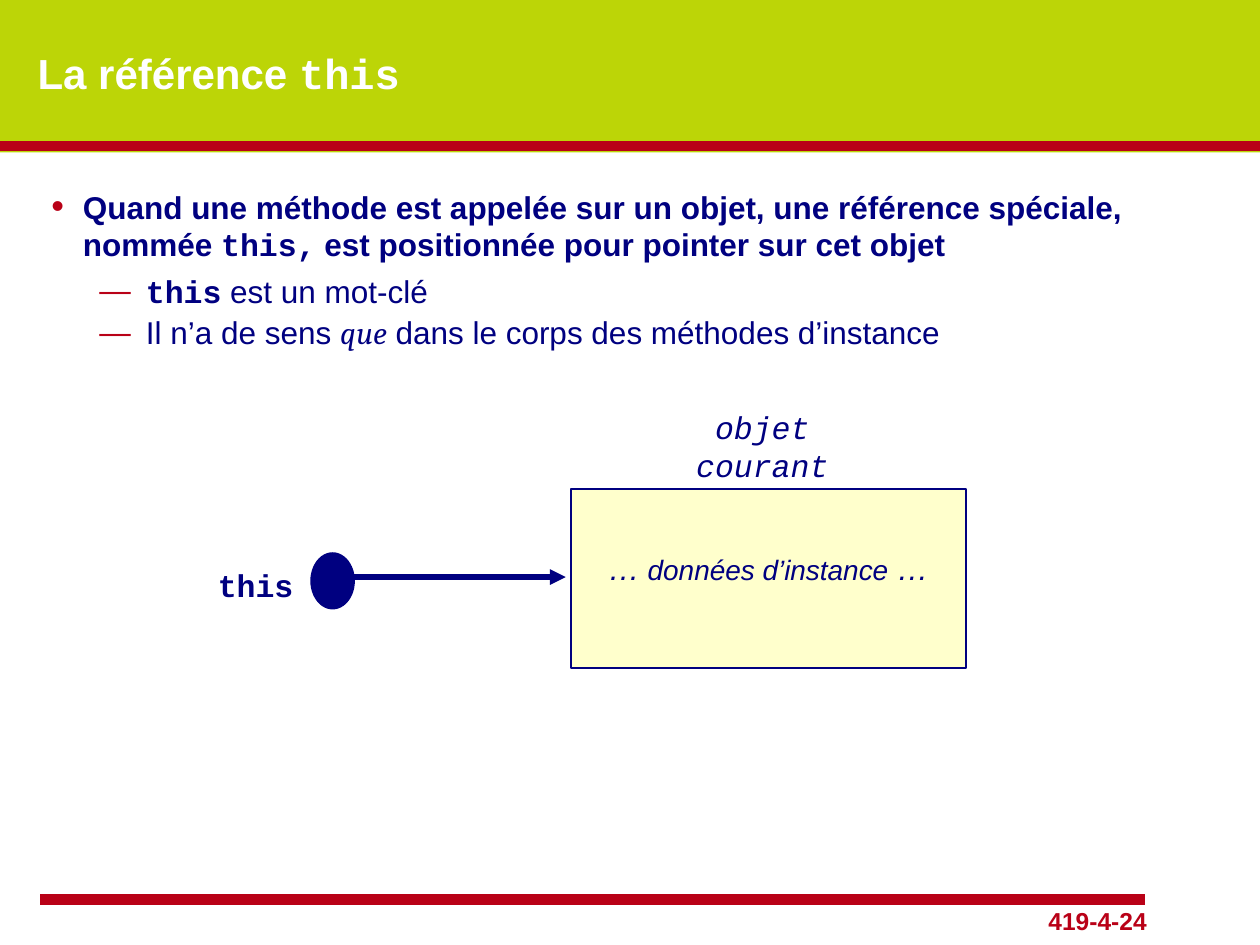
from dataclasses import dataclass

from lxml import etree
from pptx import Presentation
from pptx import util as u
from pptx.dml.color import RGBColor
from pptx.enum import shapes, text
from pptx.oxml import ns

LIME = RGBColor(0xBC, 0xD5, 0x07)
RED = RGBColor(0xB9, 0x01, 0x17)
NAVY = RGBColor(0x00, 0x00, 0x80)
CREAM = RGBColor(0xFF, 0xFF, 0xCC)
WHITE = RGBColor(0xFF, 0xFF, 0xFF)

SANS, MONO, SERIF = "Arial", "Courier New", "Cambria"
COLUMNS, ROWS = 100, 75
CELL = u.Inches(10) // COLUMNS


@dataclass
class Box:
    """A region measured in grid columns and rows."""
    left: float
    top: float
    width: float
    height: float

    def inner(self, left, top, width, height):
        return Box(self.left + left, self.top + top, width, height)

    def point(self, across, down):
        return [round((self.left + across) * CELL), round((self.top + down) * CELL)]

    def place(self):
        sides = (self.left, self.top, self.width, self.height)
        return [round(side * CELL) for side in sides]


def add_element(parent, tag, **attributes):
    return etree.SubElement(parent, ns.qn(tag), attributes)


def add_span(para, words, size, color=NAVY, font=SANS, bold=False, italic=False):
    span = para.add_run()
    span.text = words
    span.font.size = u.Pt(size)
    span.font.bold = bold
    span.font.italic = italic
    span.font.color.rgb = color
    span.font.name = font
    return span


def add_text_box(page, box, align=text.PP_ALIGN.LEFT, anchor=text.MSO_ANCHOR.TOP):
    frame = page.shapes.add_textbox(*box.place()).text_frame
    frame.word_wrap = True
    frame.vertical_anchor = anchor
    frame.paragraphs[0].alignment = align
    return frame


def add_shape(page, kind, box, fill, line=None):
    shape = page.shapes.add_shape(kind, *box.place())
    shape.shadow.inherit = False
    shape.fill.solid()
    shape.fill.fore_color.rgb = fill
    if line is None:
        shape.line.fill.background()
    else:
        shape.line.color.rgb = line
        shape.line.width = u.Pt(1)
    return shape


def add_line(page, start, end, color, width):
    line = page.shapes.add_connector(shapes.MSO_CONNECTOR.STRAIGHT, *start, *end)
    line.line.color.rgb = color
    line.line.width = u.Pt(width)
    add_element(line._element.spPr, "a:effectLst")
    return line


def add_bullet(para, sign, indent, hanging, percent=100):
    props = para._p.get_or_add_pPr()
    props.set("marL", str(u.Inches(indent)))
    props.set("indent", str(-u.Inches(hanging)))
    color = add_element(props, "a:buClr")
    add_element(color, "a:srgbClr", val=str(RED))
    add_element(props, "a:buSzPct", val=str(percent * 1000))
    add_element(props, "a:buFont", typeface=SANS)
    add_element(props, "a:buChar", char=sign)


def add_text_shadow(span):
    effects = etree.Element(ns.qn("a:effectLst"))
    shadow = add_element(effects, "a:outerShdw", dist="38100", dir="2700000", algn="tl")
    add_element(shadow, "a:srgbClr", val="000000")
    span.font._element.find(ns.qn("a:solidFill")).addnext(effects)


def build_header(page, box):
    add_line(page, box.point(0, 11.6), box.point(box.width, 11.6), RED, 6)
    frame = add_text_box(page, box.inner(2, 1.8, 85.2, 7.9), anchor=text.MSO_ANCHOR.MIDDLE)
    for words, font in (("La référence ", SANS), ("this", MONO)):
        add_text_shadow(add_span(frame.paragraphs[0], words, 24, WHITE, font, bold=True))


def build_footer(page, box):
    add_line(page, box.point(0, 0), box.point(box.width, 0), RED, 6)
    number = add_text_box(page, box.inner(73, 0, 15.8, 3.3), text.PP_ALIGN.RIGHT)
    add_span(number.paragraphs[0], "419-4-24", 14, RED, bold=True)


def build_points(page, box):
    frame = add_text_box(page, box)

    # Main point
    main_point = frame.paragraphs[0]
    add_bullet(main_point, "•", 0.25, 0.25, percent=115)
    main_point.space_after = u.Pt(3)
    add_span(main_point,
             "Quand une méthode est appelée sur un objet, une référence spéciale, nommée ",
             18, bold=True)
    add_span(main_point, "this,", 18, font=MONO, bold=True)
    add_span(main_point, " est positionnée pour pointer sur cet objet", 18, bold=True)

    # Details
    details = (
        (("this", {"font": MONO, "bold": True}), (" est un mot-clé", {})),
        (("Il n’a de sens ", {}), ("que", {"font": SERIF, "italic": True}),
         (" dans le corps des méthodes d’instance", {})),
    )
    for spans in details:
        para = frame.add_paragraph()
        para.level = 1
        add_bullet(para, "—", 0.75, 0.37)
        para.space_before = u.Pt(2)
        for words, style in spans:
            add_span(para, words, 18, **style)


def build_diagram(page, box):
    # Current object
    target = add_shape(page, shapes.MSO_SHAPE.RECTANGLE,
                       box.inner(29, 7.3, 31.4, 14.2), CREAM, NAVY)
    frame = target.text_frame
    frame.word_wrap = True
    frame.vertical_anchor = text.MSO_ANCHOR.TOP
    frame.margin_top = u.Inches(0.48)
    para = frame.paragraphs[0]
    para.alignment = text.PP_ALIGN.CENTER
    for words, size in (("…", 18), (" données d’instance", 16), (" …", 18)):
        add_span(para, words, size, italic=True)

    # Labels
    name = add_text_box(page, box.inner(0, 12.9, 9.5, 4))
    add_span(name.paragraphs[0], "this", 18, font=MONO, bold=True)
    caption = add_text_box(page, box.inner(36.5, 0.4, 15.4, 7), text.PP_ALIGN.CENTER)
    add_span(caption.paragraphs[0], "objet courant", 18, font=MONO, italic=True)

    # Reference
    add_shape(page, shapes.MSO_SHAPE.OVAL, box.inner(8.4, 12.4, 3.4, 4.4), NAVY, NAVY)
    arrow = add_line(page, box.point(11.1, 14.3), box.point(28.6, 14.3), NAVY, 3)
    add_element(arrow.line._get_or_add_ln(), "a:tailEnd", type="triangle")


def main():
    deck = Presentation()
    deck.slide_width = COLUMNS * CELL
    deck.slide_height = ROWS * CELL
    page = deck.slides.add_slide(deck.slide_layouts[6])
    page.background.fill.solid()
    page.background.fill.fore_color.rgb = LIME

    add_shape(page, shapes.MSO_SHAPE.RECTANGLE, Box(0, 12.1, COLUMNS, ROWS - 12.1), WHITE)
    build_footer(page, Box(3.2, 71.4, 87.7, 3.3))
    build_header(page, Box(0, 0, COLUMNS, 12.1))
    build_points(page, Box(3.1, 14.4, 94, 14))
    build_diagram(page, Box(16.3, 31.5, 60.4, 21.5))
    deck.save("out.pptx")


if __name__ == "__main__":
    main()
